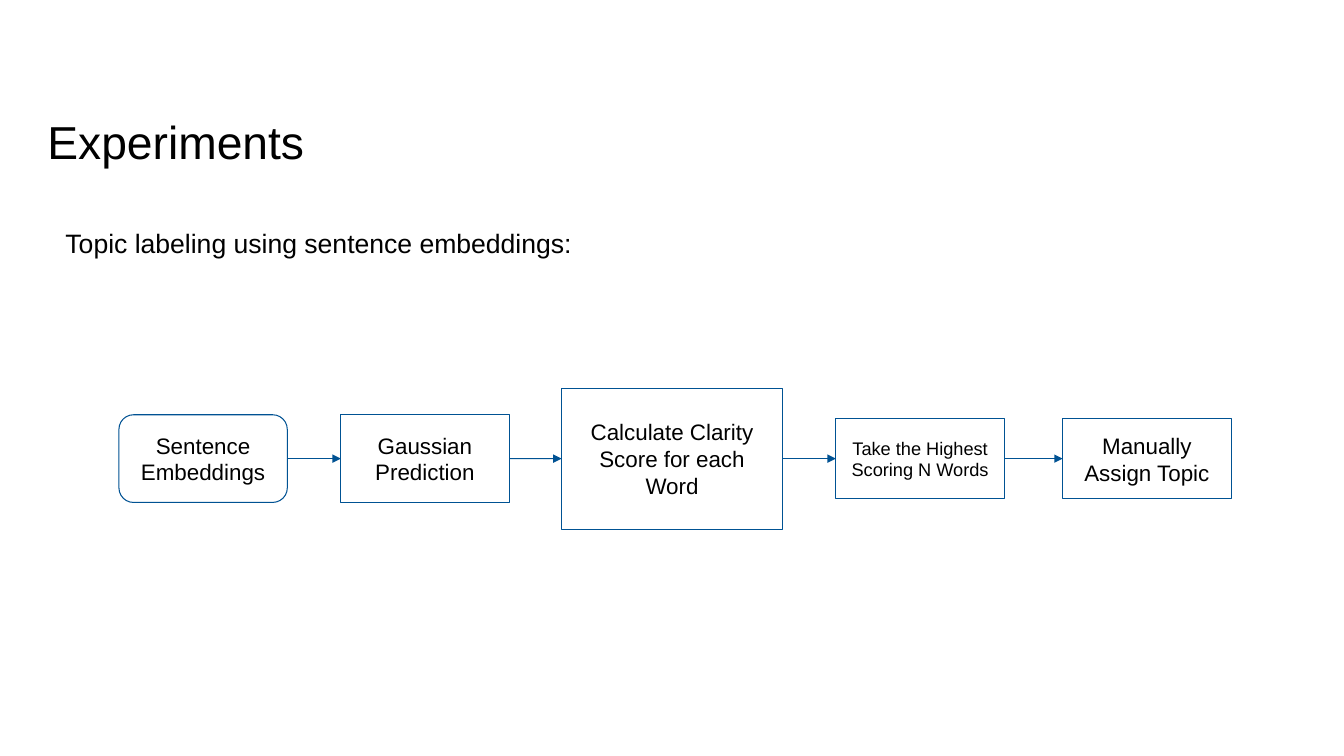
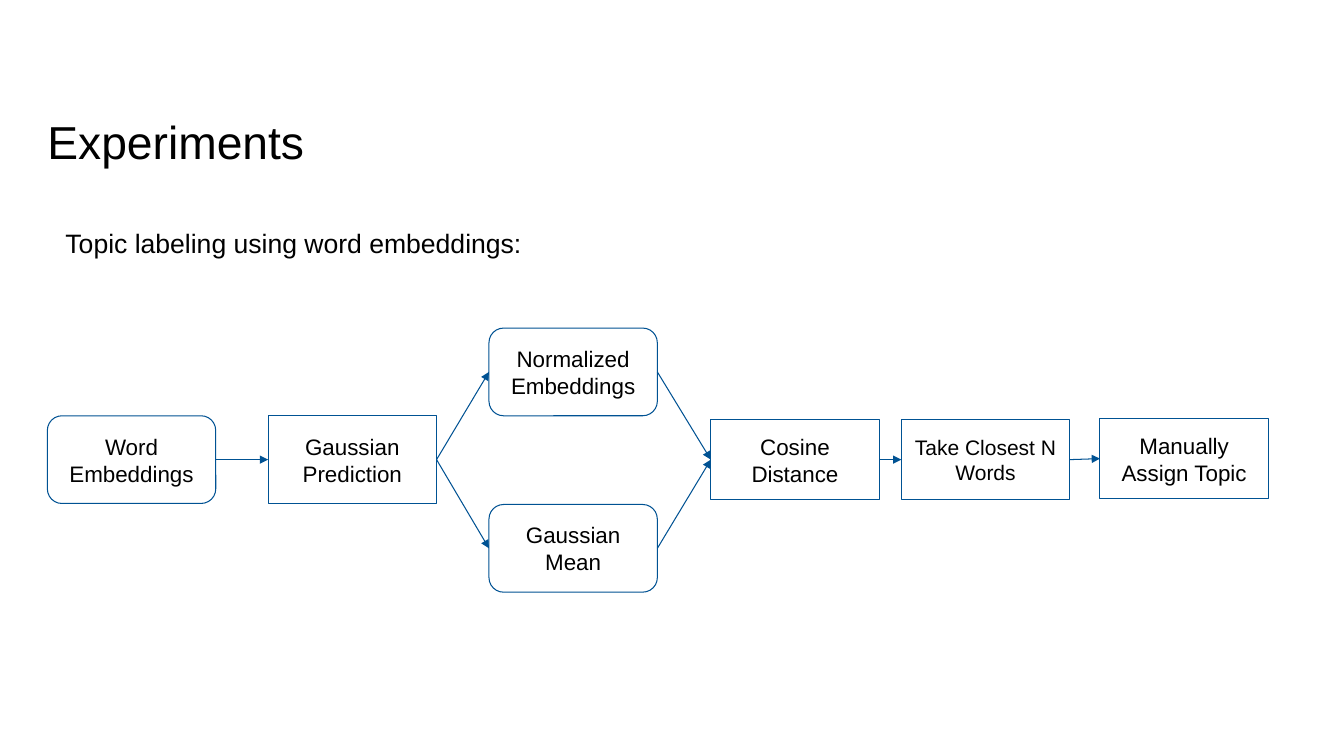
import pptx
import pptx.dml.color
import pptx.enum.shapes
import pptx.enum.text
import pptx.oxml.ns
import pptx.util
from lxml import etree

Inches, Pt = pptx.util.Inches, pptx.util.Pt
SHAPES = pptx.enum.shapes.MSO_SHAPE
ANCHOR = pptx.enum.text.MSO_ANCHOR
ALIGN = pptx.enum.text.PP_ALIGN

FONT, BLACK, BLUE = "Arial", "000000", "005293"
INSET = 0.13

# Box kinds: preset, width, height
KINDS = {
    "data": (SHAPES.ROUNDED_RECTANGLE, 1.67, 0.87),
    "process": (SHAPES.RECTANGLE, 1.67, 0.87),
    "score": (SHAPES.RECTANGLE, 2.19, 1.4),
    "step": (SHAPES.RECTANGLE, 1.67, 0.79),
}

# Boxes: text, kind, left, middle height, text size; links: pairs of box numbers
SLIDES = [
    {
        "title": "Experiments",
        "lead": "Topic labeling using sentence embeddings:",
        "boxes": [
            ("Sentence Embeddings", "data", 1.18, 4.55, 16),
            ("Gaussian Prediction", "process", 3.38, 4.55, 16),
            ("Calculate Clarity Score for each Word", "score", 5.57, 4.55, 16),
            ("Take the Highest Scoring N Words", "step", 8.29, 4.55, 13),
            ("Manually Assign Topic", "step", 10.54, 4.55, 16),
        ],
        "links": [(0, 1), (1, 2), (2, 3), (3, 4)],
    },
    {
        "title": "Experiments",
        "lead": "Topic labeling using word embeddings:",
        "boxes": [
            ("Word Embeddings", "data", 0.47, 4.56, 16),
            ("Gaussian Prediction", "process", 2.66, 4.56, 16),
            ("Normalized Embeddings", "data", 4.85, 3.69, 16),
            ("Gaussian Mean", "data", 4.85, 5.44, 16),
            ("Cosine Distance", "step", 7.05, 4.56, 16),
            ("Take Closest N Words", "step", 8.94, 4.56, 15),
            ("Manually Assign Topic", "step", 10.91, 4.55, 16),
        ],
        "links": [(0, 1), (1, 2), (1, 3), (2, 4), (3, 4), (4, 5), (5, 6)],
    },
]


def colour(value):
    return pptx.dml.color.RGBColor.from_string(value)


def set_all(target, values):
    for name, value in values.items():
        setattr(target, name, value)


def write(shape, text, size, inset, anchor, align, spacing=1.0):
    frame = shape.text_frame
    frame.text = text
    margins = {f"margin_{side}": Inches(inset) for side in ("left", "top", "right", "bottom")}
    set_all(frame, {"word_wrap": True, "vertical_anchor": anchor,
                    "auto_size": pptx.enum.text.MSO_AUTO_SIZE.NONE, **margins})
    para = frame.paragraphs[0]
    set_all(para, {"alignment": align, "line_spacing": spacing})
    span = para.runs[0]
    set_all(span.font, {"name": FONT, "size": Pt(size), "bold": False})
    span.font.color.rgb = colour(BLACK)


def outline(shape):
    shape.line.color.rgb = colour(BLUE)
    shape.line.width = Pt(0.75)


def add_box(page, text, kind, left, middle, size):
    preset, width, height = KINDS[kind]
    box = page.shapes.add_shape(preset, Inches(left), Inches(middle - height / 2),
                                Inches(width), Inches(height))
    box.shadow.inherit = False
    box.fill.background()
    outline(box)
    write(box, text, size, INSET, ANCHOR.MIDDLE, ALIGN.CENTER)
    return box


def add_arrow(page, source, target):
    """Join the right side of source to the left side of target."""
    arrow = page.shapes.add_connector(pptx.enum.shapes.MSO_CONNECTOR.STRAIGHT, 0, 0, 0, 0)
    arrow.begin_connect(source, 3)
    arrow.end_connect(target, 1)
    outline(arrow)
    qn = pptx.oxml.ns.qn
    etree.SubElement(arrow.line._get_or_add_ln(), qn("a:tailEnd"), type="triangle")
    etree.SubElement(arrow._element.spPr, qn("a:effectLst"))


def add_page(deck, content):
    page = deck.slides.add_slide(deck.slide_layouts.get_by_name("Title Only"))
    title = page.shapes.title
    set_all(title, {"left": Inches(0.47), "top": Inches(0.97),
                    "width": Inches(12.41), "height": Inches(0.6)})
    write(title, content["title"], 33, 0, ANCHOR.TOP, ALIGN.LEFT, 1.28)

    lead = page.shapes.add_textbox(Inches(0.52), Inches(2.12), Inches(12.54), Inches(0.57))
    write(lead, content["lead"], 19, INSET, ANCHOR.TOP, ALIGN.LEFT)

    boxes = [add_box(page, *box) for box in content["boxes"]]
    for source, target in content["links"]:
        add_arrow(page, boxes[source], boxes[target])


def main():
    deck = pptx.Presentation()
    set_all(deck, {"slide_width": Inches(13.33), "slide_height": Inches(7.5)})
    for content in SLIDES:
        add_page(deck, content)
    deck.save("out.pptx")


if __name__ == "__main__":
    main()
